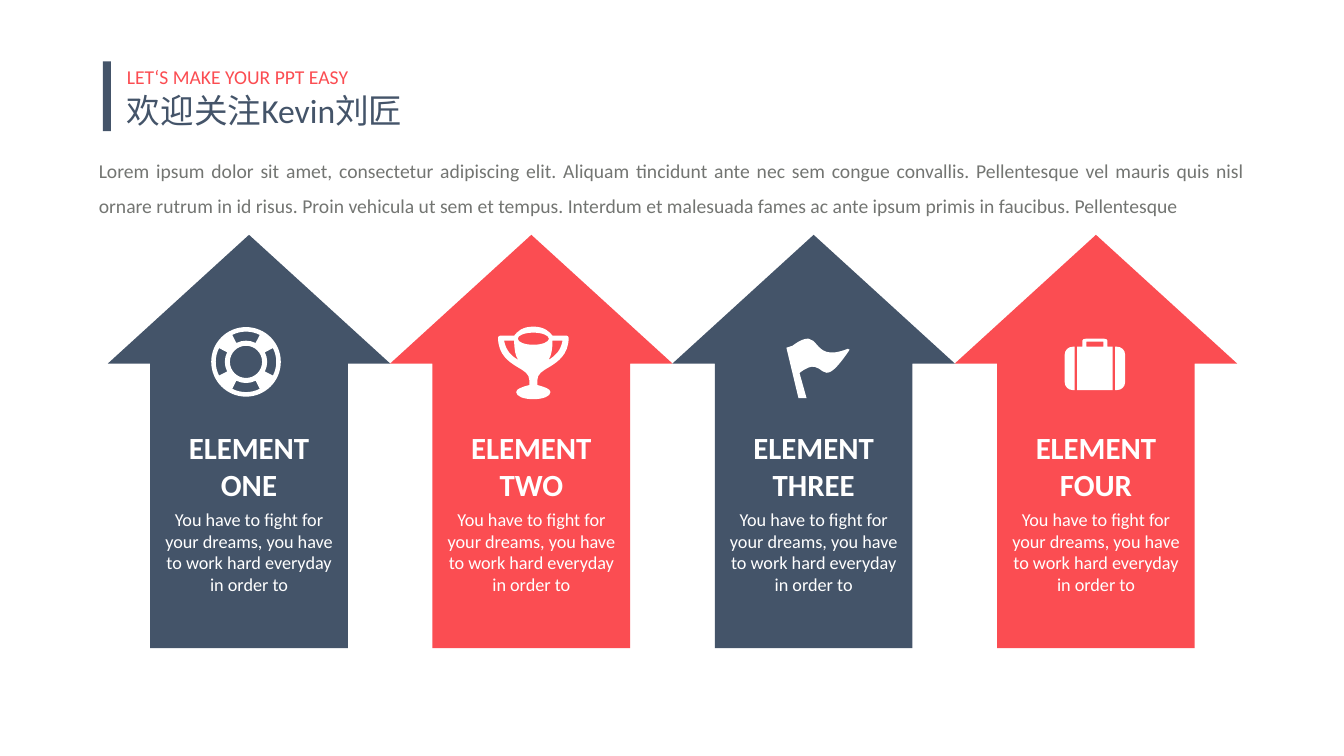
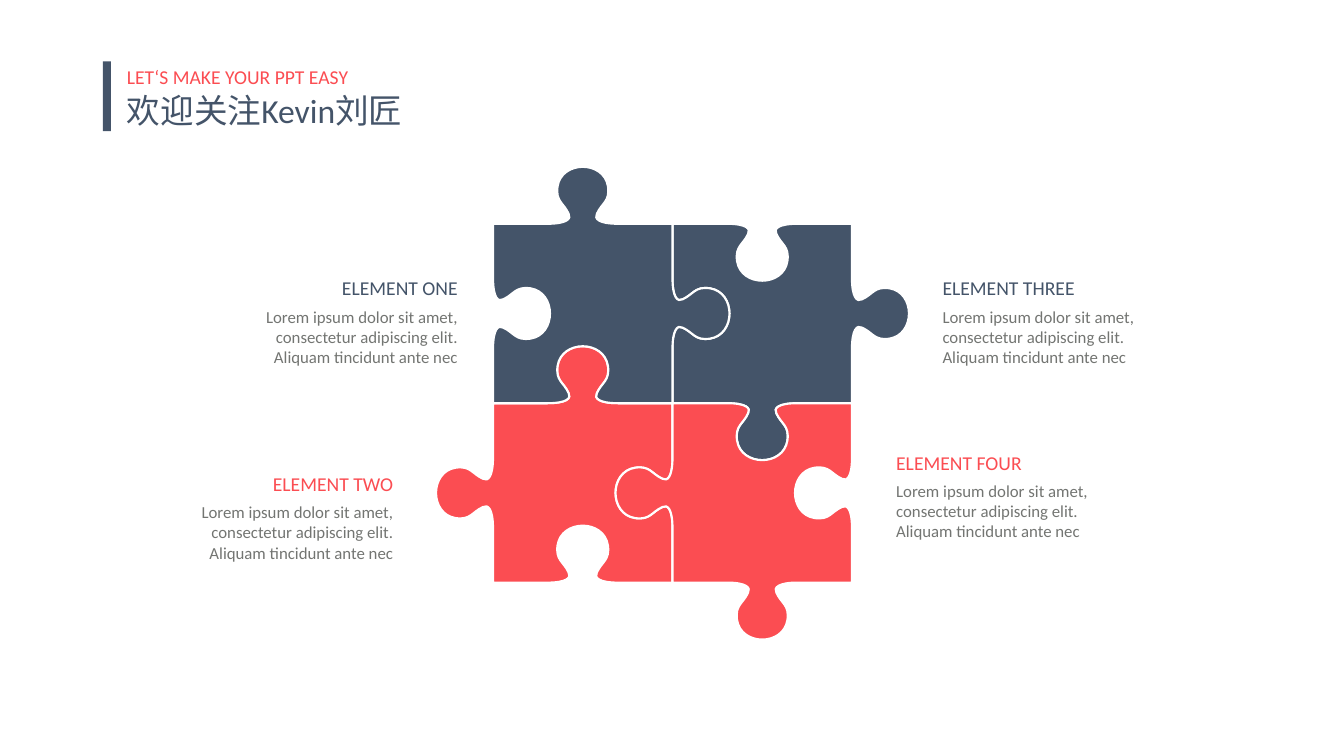
import math
from dataclasses import dataclass

import lxml.etree
import pptx
import pptx.dml.color
import pptx.enum.shapes
import pptx.enum.text
import pptx.oxml.ns
import pptx.util

PX = 9144  # EMU in one px: 100 px to the inch
SHAPES = pptx.enum.shapes.MSO_SHAPE
ALIGN = pptx.enum.text.PP_ALIGN
ANCHOR = pptx.enum.text.MSO_ANCHOR


@dataclass(frozen=True)
class Theme:
    font: str = "Calibri"
    navy: str = "445469"
    coral: str = "FB4D52"
    gray: str = "737572"
    white: str = "FFFFFF"
    title_size: int = 24
    heading_size: int = 22
    body_size: int = 14
    caption_size: int = 13
    note_size: int = 12
    outline_width: float = 1.5


THEME = Theme()


# Outlines: lists of (x, y, is_control) in px from a local origin
def outline(start, *steps):
    """Follow steps of two numbers (line) or six (Bezier curve)."""
    points = [(*start, False)]
    for step in steps:
        if len(step) == 6:
            points += [(*step[0:2], True), (*step[2:4], True)]
        points.append((*step[-2:], False))
    return points


def arc(radius_x, radius_y, start=0, end=360, center_y=0):
    count = math.ceil(abs(end - start) / 90)
    delta = math.radians(end - start) / count
    pull = 4 / 3 * math.tan(delta / 4)

    def place(angle, tangent):
        return (radius_x * (math.cos(angle) - tangent * math.sin(angle)),
                center_y + radius_y * (math.sin(angle) + tangent * math.cos(angle)))

    angles = [math.radians(start) + delta * index for index in range(count + 1)]
    steps = [place(first, pull) + place(last, -pull) + place(last, 0)
             for first, last in zip(angles, angles[1:])]
    return outline(place(angles[0], 0), *steps)


def mirrored(points):
    return [(-x, y, control) for x, y, control in reversed(points)]


def symmetric(points):
    return points + mirrored(points)


# Icons
def lifebuoy_icon():
    gaps = [arc(30, 30, middle - 27, middle + 27) + arc(21, 21, middle + 27, middle - 27)
            for middle in range(0, 360, 90)]
    return [arc(34.5, 34.5), arc(16, 16), *gaps]


def trophy_icon():
    half_cup = outline(
        (0, 0), (11, 0, 16, 5, 19, 9), (33, 9), (34, 9, 35, 10, 35, 11),
        (35, 28, 24, 35, 16, 40), (9, 44, 4, 47, 4, 53), (4, 58),
        (12, 60, 17, 62, 17, 65), (17, 69, 10, 72, 0, 72))
    handle = outline((15, 33), (18, 29, 19, 22, 19, 14), (29, 14), (27, 24, 22, 29, 15, 33))
    return [symmetric(half_cup), handle, mirrored(handle), arc(15.5, 6, center_y=12)]


def flag_icon():
    return [outline(
        (61, 14), (21, 30, 37, -12, 6, 11), (0, 13), (12, 63), (20, 63), (13, 38),
        (41, 16, 30, 63, 62, 16), (64, 16, 62, 14, 61, 14))]


def suitcase_icon():
    side = outline((20, 51), (22, 51), (26, 51, 30, 48, 30, 43), (30, 16),
                   (30, 11, 26, 8, 22, 8), (20, 8))
    half_body = outline((0, 0), (9, 0), (11, 0, 12.5, 1, 12.5, 2), (12.5, 8),
                        (17.5, 8), (17.5, 51))
    handle_hole = outline((8.5, 8), (8.5, 3))
    return [side, mirrored(side), symmetric(half_body), symmetric(handle_hole)]


# Puzzle piece
PIECE = 178
KNOB = outline(
    (0, 0), (54, 0), (73, 0, 78, 5, 75, 10), (70, 21, 62, 22, 64, 37),
    (68, 63, 110, 63, 114, 37), (116, 22, 108, 21, 103, 10),
    (100, 5, 105, 0, 124, 0), (PIECE, 0))


def puzzle_piece(sides):
    """Sides run top, right, bottom, left: 1 is a knob, -1 a socket."""
    points = KNOB[:1]
    x, y, dx, dy = 0, 0, 1, 0
    for side in sides:
        points = points + [
            (x + along * dx + side * out * dy, y + along * dy - side * out * dx, control)
            for along, out, control in KNOB[1:]]
        x, y = x + PIECE * dx, y + PIECE * dy
        dx, dy = -dy, dx
    return [points]


def bend(shape, controls):
    """Join each two control points and their end point into one curve."""
    lines = list(shape.element.iter(pptx.oxml.ns.qn("a:lnTo")))
    index = 0
    while index < len(lines):
        if not controls[index]:
            index += 1
            continue
        curve = lxml.etree.Element(pptx.oxml.ns.qn("a:cubicBezTo"))
        lines[index].addprevious(curve)
        for line in lines[index:index + 3]:
            curve.append(line[0])
            line.getparent().remove(line)
        index += 3


class Deck:
    def __init__(self, theme, width, height):
        self.theme = theme
        self.presentation = pptx.Presentation()
        self.presentation.slide_width = width * PX
        self.presentation.slide_height = height * PX
        self.slide = None

    def add_slide(self, kicker, title):
        self.slide = self.presentation.slides.add_slide(self.presentation.slide_layouts[6])
        theme = self.theme
        self.shape(SHAPES.RECTANGLE, 102, 61, 8, 69, theme.navy)
        self.text(kicker, 116, 59, 479, 34, theme.body_size, theme.coral)
        self.text(title, 116, 92, 767, 42, theme.title_size, theme.navy, spacing=0.8)

    def paint(self, shape, fill, line=None):
        shape.shadow.inherit = False
        shape.fill.solid()
        shape.fill.fore_color.rgb = pptx.dml.color.RGBColor.from_string(fill)
        if line:
            shape.line.color.rgb = pptx.dml.color.RGBColor.from_string(line)
            shape.line.width = pptx.util.Pt(self.theme.outline_width)
        else:
            shape.line.fill.background()

    def shape(self, kind, left, top, width, height, fill, adjustments=()):
        shape = self.slide.shapes.add_shape(
            kind, left * PX, top * PX, width * PX, height * PX)
        for index, value in enumerate(adjustments):
            shape.adjustments[index] = value
        self.paint(shape, fill)

    def freeform(self, contours, left, top, fill, line=None):
        placed = [[((left + x) * PX, (top + y) * PX) for x, y, _ in contour]
                  for contour in contours]
        builder = self.slide.shapes.build_freeform(*placed[0][0], scale=1.0)
        for index, points in enumerate(placed):
            if index:
                builder.move_to(*points[0])
            builder.add_line_segments(points[1:], close=True)
        shape = builder.convert_to_shape()
        bend(shape, [control for contour in contours for _, _, control in contour[1:]])
        self.paint(shape, fill, line)

    def text(self, text, left, top, width, height, size, color, align=ALIGN.LEFT,
             bold=False, spacing=None, insets=(10, 5), anchor=ANCHOR.TOP):
        box = self.slide.shapes.add_textbox(left * PX, top * PX, width * PX, height * PX)
        frame = box.text_frame
        frame.word_wrap = True
        frame.auto_size = pptx.enum.text.MSO_AUTO_SIZE.SHAPE_TO_FIT_TEXT
        frame.vertical_anchor = anchor
        frame.margin_left = frame.margin_right = insets[0] * PX
        frame.margin_top = frame.margin_bottom = insets[1] * PX
        paragraph = frame.paragraphs[0]
        paragraph.text = text
        paragraph.alignment = align
        if spacing:
            paragraph.line_spacing = spacing
        paragraph.font.name = self.theme.font
        paragraph.font.size = pptx.util.Pt(size)
        paragraph.font.bold = bold
        paragraph.font.color.rgb = pptx.dml.color.RGBColor.from_string(color)


KICKER = "LET‘S MAKE YOUR PPT EASY"
TITLE = "欢迎关注Kevin刘匠"


def add_arrows_slide(deck):
    theme = deck.theme
    deck.add_slide(KICKER, TITLE)
    deck.text(
        "Lorem ipsum dolor sit amet, consectetur adipiscing elit. Aliquam tincidunt ante nec "
        "sem congue convallis. Pellentesque vel mauris quis nisl ornare rutrum in id risus. "
        "Proin vehicula ut sem et tempus. Interdum et malesuada fames ac ante ipsum primis in "
        "faucibus. Pellentesque",
        85, 141, 1163, 80, theme.body_size, theme.gray, align=ALIGN.JUSTIFY,
        spacing=1.5, insets=(13, 7), anchor=ANCHOR.MIDDLE)

    # Heading, icon and the place of the icon's origin
    elements = (
        ("ELEMENT ONE", lifebuoy_icon(), 244, 359),
        ("ELEMENT TWO", trophy_icon(), 529, 324),
        ("ELEMENT THREE", flag_icon(), 780, 332),
        ("ELEMENT FOUR", suitcase_icon(), 1086, 336),
    )
    for index, (heading, icon, icon_x, icon_y) in enumerate(elements):
        left = 107 + 280 * index
        color = (theme.navy, theme.coral)[index % 2]
        deck.shape(SHAPES.UP_ARROW, left, 233, 280, 410, color, (0.7, 0.456))
        deck.freeform(icon, icon_x, icon_y, theme.white)
        deck.text(heading, left + 45, 420, 190, 84, theme.heading_size, theme.white,
                  align=ALIGN.CENTER, bold=True)
        deck.text("You have to fight for your dreams, you have to work hard everyday in order to",
                  left + 45, 499, 190, 98, theme.caption_size, theme.white,
                  align=ALIGN.CENTER)


def add_puzzle_slide(deck):
    theme = deck.theme
    deck.add_slide(KICKER, TITLE)

    # Column, row and sides, from back to front
    pieces = (
        (1, 0, (-1, 1, 1, -1)),
        (0, 1, (1, -1, -1, 1)),
        (0, 0, (1, 1, -1, -1)),
        (1, 1, (-1, -1, 1, 1)),
    )
    for column, row, sides in pieces:
        deck.freeform(puzzle_piece(sides), 489 + PIECE * column, 222 + PIECE * row,
                      (theme.navy, theme.coral)[row], line=theme.white)

    # Labels beside the pieces
    labels = (
        ("ELEMENT ONE", 238, 269, theme.navy, ALIGN.RIGHT),
        ("ELEMENT TWO", 174, 463, theme.coral, ALIGN.RIGHT),
        ("ELEMENT THREE", 925, 269, theme.navy, ALIGN.LEFT),
        ("ELEMENT FOUR", 879, 442, theme.coral, ALIGN.LEFT),
    )
    for heading, left, top, color, align in labels:
        deck.text(heading, left, top, 226, 34, theme.body_size, color, align=align)
        deck.text("Lorem ipsum dolor sit amet, consectetur adipiscing elit. "
                  "Aliquam tincidunt ante nec",
                  left, top + 30, 226, 71, theme.note_size, theme.gray, align=align)


def main():
    deck = Deck(THEME, 1333, 750)
    add_arrows_slide(deck)
    add_puzzle_slide(deck)
    deck.presentation.save("out.pptx")


if __name__ == "__main__":
    main()
